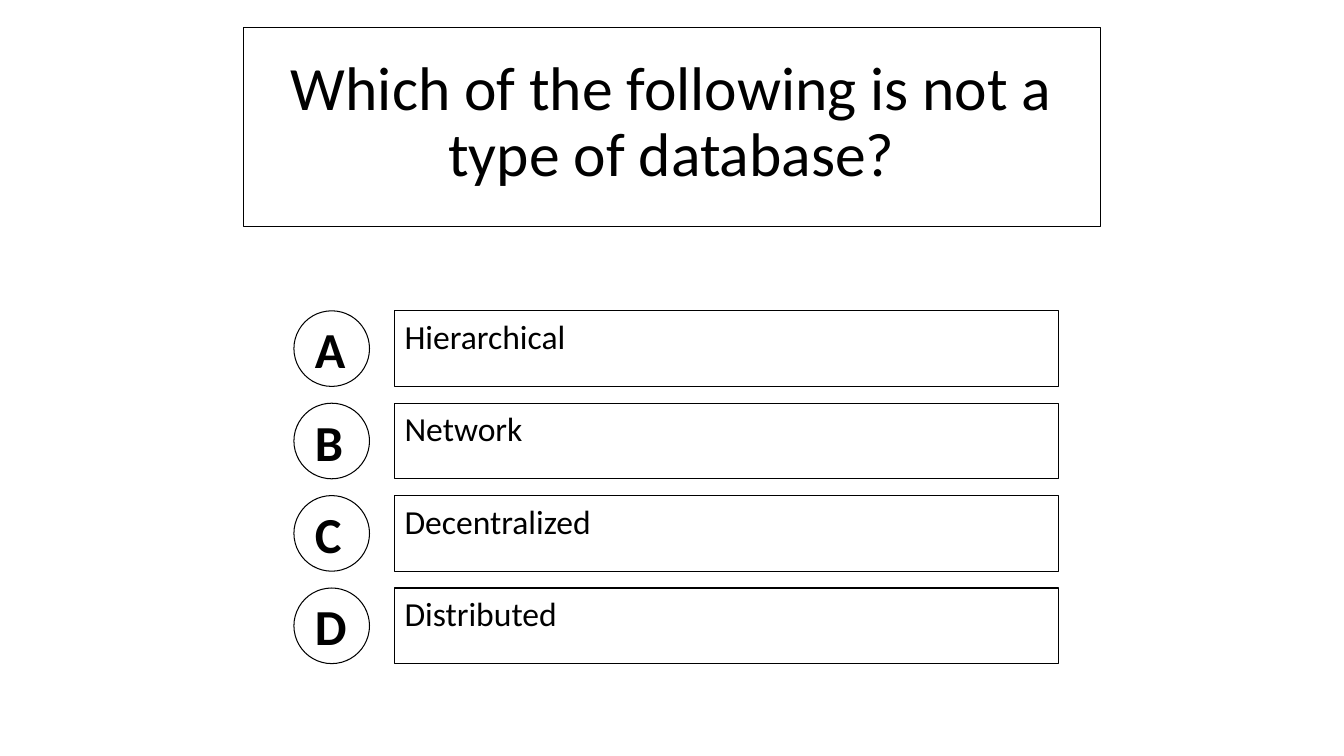
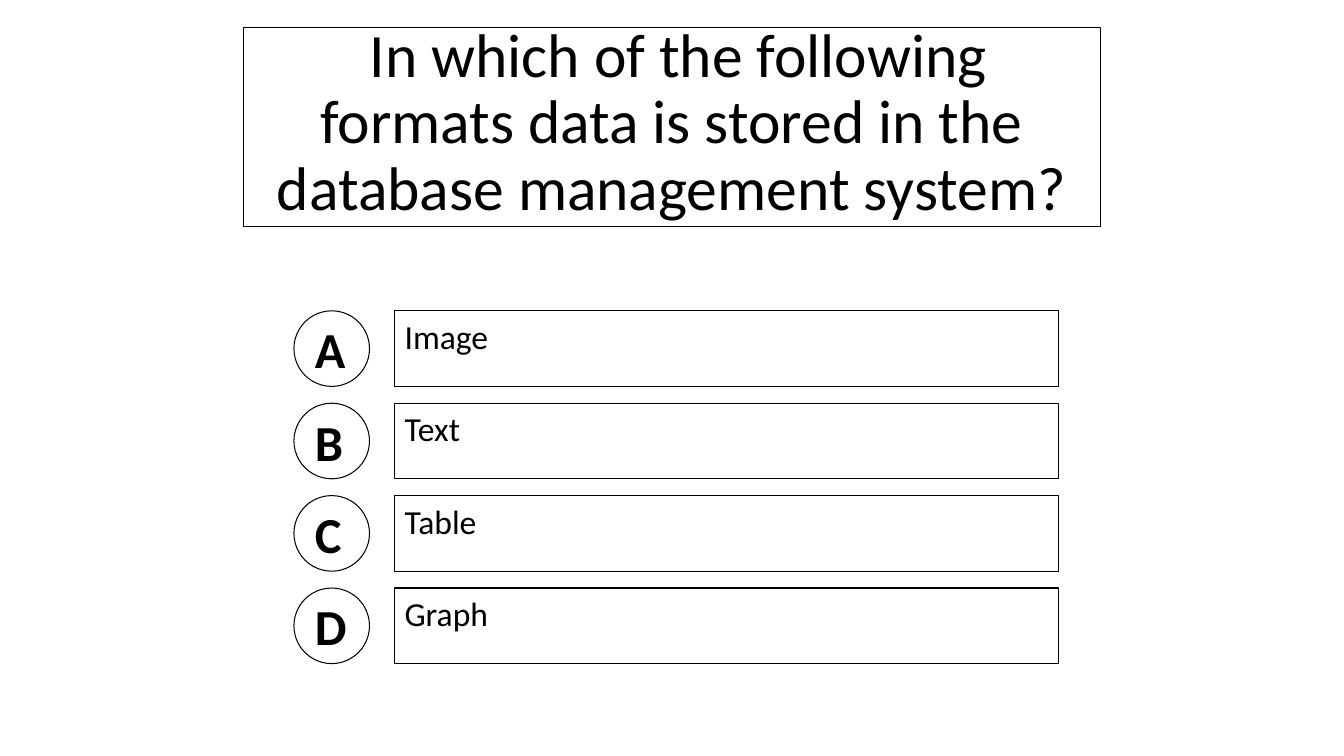
"""Build two multiple-choice quiz slides about databases."""
import pptx
import pptx.dml.color
import pptx.enum.shapes
import pptx.enum.text
import pptx.util

QUESTIONS = [
    ("Which of the following is not a type of database?",
     ["Hierarchical", "Network", "Decentralized", "Distributed"]),
    (" In which of the following formats data is stored in the database management system?",
     ["Image", "Text", "Table", "Graph"]),
]
LETTERS = "ABCD"

INK, PAPER = "000000", "FFFFFF"
FONT = "Calibri"
PX_PER_INCH = 300
SLIDE_SIZE = (4001, 2250)
TITLE_AREA = (725, 83, 2550, 592)
TITLE_SIDE_INSET, TITLE_BOTTOM_INSET = 60, 22
FIRST_ROW, ROW_STEP, ROW_HEIGHT = 925, 275, 225
LETTER_LEFT, ANSWER_LEFT, ANSWER_WIDTH = 875, 1175, 1975

SHAPES = pptx.enum.shapes.MSO_SHAPE
ANCHOR = pptx.enum.text.MSO_ANCHOR
ALIGN = pptx.enum.text.PP_ALIGN


def px(length):
    return pptx.util.Emu(length * 914400 // PX_PER_INCH)


def color(value):
    return pptx.dml.color.RGBColor.from_string(value)


def outline(shape):
    shape.line.color.rgb = color(INK)
    shape.line.width = pptx.util.Pt(0.75)


def write(shape, text, size, anchor, align, bold=False):
    frame = shape.text_frame
    frame.text = text
    frame.vertical_anchor = anchor
    para = frame.paragraphs[0]
    para.alignment = align
    for span in para.runs:
        span.font.name = FONT
        span.font.size = pptx.util.Pt(size)
        span.font.bold = bold
        span.font.color.rgb = color(INK)


def add_title(page, question):
    title = page.shapes.title
    title.left, title.top, title.width, title.height = map(px, TITLE_AREA)
    outline(title)
    write(title, question, 44, ANCHOR.MIDDLE, ALIGN.CENTER)
    frame = title.text_frame
    frame.word_wrap = True
    frame.auto_size = pptx.enum.text.MSO_AUTO_SIZE.NONE
    frame.margin_left = frame.margin_right = px(TITLE_SIDE_INSET)
    frame.margin_top, frame.margin_bottom = 0, px(TITLE_BOTTOM_INSET)
    frame.paragraphs[0].line_spacing = 0.9


def add_box(page, kind, left, top, width):
    box = page.shapes.add_shape(kind, px(left), px(top), px(width), px(ROW_HEIGHT))
    box.shadow.inherit = False
    box.text_frame.word_wrap = False
    outline(box)
    return box


def add_answer(page, row, letter, answer):
    top = FIRST_ROW + row * ROW_STEP
    circle = add_box(page, SHAPES.OVAL, LETTER_LEFT, top, ROW_HEIGHT)
    circle.fill.background()
    write(circle, letter, 36, ANCHOR.MIDDLE, ALIGN.LEFT, bold=True)
    box = add_box(page, SHAPES.RECTANGLE, ANSWER_LEFT, top, ANSWER_WIDTH)
    box.fill.solid()
    box.fill.fore_color.rgb = color(PAPER)
    write(box, answer, 24, ANCHOR.TOP, ALIGN.LEFT)


def main():
    deck = pptx.Presentation()
    deck.slide_width, deck.slide_height = map(px, SLIDE_SIZE)
    title_only = deck.slide_layouts.get_by_name("Title Only")
    for question, answers in QUESTIONS:
        page = deck.slides.add_slide(title_only)
        add_title(page, question)
        for row, (letter, answer) in enumerate(zip(LETTERS, answers)):
            add_answer(page, row, letter, answer)
    deck.save("out.pptx")


if __name__ == "__main__":
    main()
